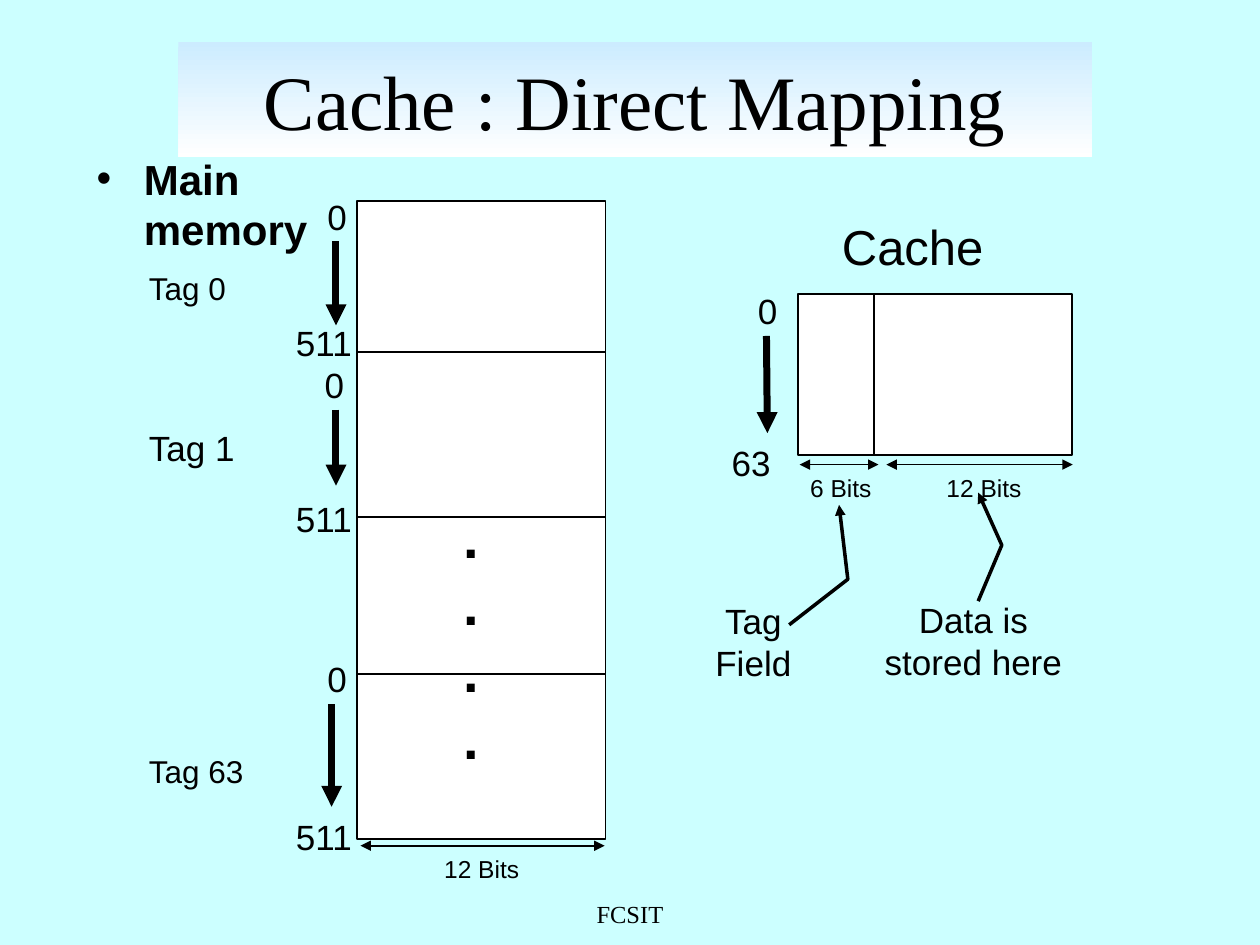
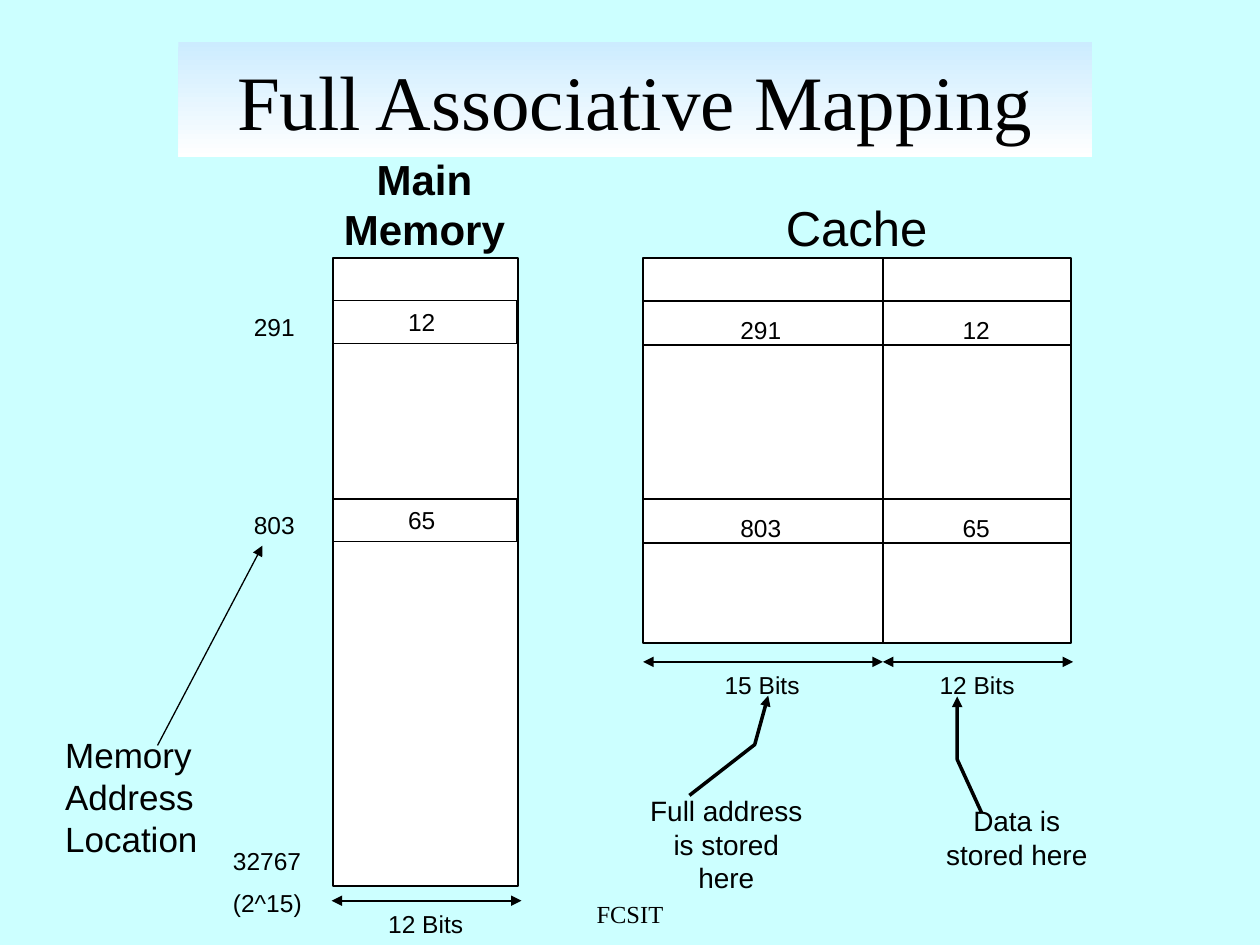
from dataclasses import dataclass
from typing import Any

import pptx
import pptx.dml.color
import pptx.enum.shapes
import pptx.enum.text
import pptx.oxml.ns
import pptx.util
from lxml import etree

Pt = pptx.util.Pt
qn = pptx.oxml.ns.qn
ALIGN = pptx.enum.text.PP_ALIGN
ANCHOR = pptx.enum.text.MSO_ANCHOR
AUTO_SIZE = pptx.enum.text.MSO_AUTO_SIZE

COLORS = {
    "background": "CCFFFF",
    "band_top": "CCECFF",
    "band_bottom": "FFFFFF",
    "memory": "FFFFFF",
    "ink": "000000",
}
SANS = "Arial"
SERIF = "Times New Roman"


def color(name):
    return pptx.dml.color.RGBColor.from_string(COLORS[name])


def write(paragraph, text, size, font=SANS, bold=False, align=ALIGN.LEFT):
    paragraph.alignment = align
    run = paragraph.add_run()
    run.text = text
    run.font.size = Pt(size)
    run.font.name = font
    run.font.bold = bold
    run.font.color.rgb = color("ink")


def paragraphs(frame, lines):
    for index, text in enumerate(lines):
        yield (frame.add_paragraph() if index else frame.paragraphs[0]), text


def outline(part, width, *ends):
    part.line.color.rgb = color("ink")
    part.line.width = Pt(width)
    ln = part.element.spPr.find(qn("a:ln"))
    for end in ends:
        etree.SubElement(ln, qn(f"a:{end}"), type="triangle")


def move(shape, left, top, width, height):
    shape.left, shape.top = Pt(left), Pt(top)
    shape.width, shape.height = Pt(width), Pt(height)


@dataclass
class Region:
    slide: Any
    left: float
    top: float
    width: float
    height: float

    def point(self, x, y):
        return Pt(self.left + x), Pt(self.top + y)

    def cell(self, x, y, width, height, text=""):
        rectangle = self.slide.shapes.add_shape(
            pptx.enum.shapes.MSO_SHAPE.RECTANGLE,
            *self.point(x, y), Pt(width), Pt(height))
        rectangle.shadow.inherit = False
        rectangle.fill.solid()
        rectangle.fill.fore_color.rgb = color("memory")
        outline(rectangle, 1)
        if text:
            rectangle.text_frame.word_wrap = False
            rectangle.text_frame.vertical_anchor = ANCHOR.MIDDLE
            write(rectangle.text_frame.paragraphs[0], text, 14, align=ALIGN.CENTER)

    def frame(self):
        self.cell(0, 0, self.width, self.height)

    def label(self, text, x, y, width, height, size=14, wrap=False, **style):
        box = self.slide.shapes.add_textbox(*self.point(x, y), Pt(width), Pt(height))
        box.text_frame.word_wrap = wrap
        box.text_frame.auto_size = AUTO_SIZE.SHAPE_TO_FIT_TEXT
        for paragraph, line in paragraphs(box.text_frame, text.split("\n")):
            write(paragraph, line, size, **style)

    def line(self, start, finish, width=1, ends=()):
        connector = self.slide.shapes.add_connector(
            pptx.enum.shapes.MSO_CONNECTOR.STRAIGHT,
            *self.point(*start), *self.point(*finish))
        outline(connector, width, *ends)
        etree.SubElement(connector.element.spPr, qn("a:effectLst"))

    def count_arrow(self, start, finish):
        self.line(start, finish, 4, ["tailEnd"])

    def pointer(self, start, *bends):
        builder = self.slide.shapes.build_freeform(*self.point(*start))
        builder.add_line_segments([self.point(*bend) for bend in bends], close=False)
        bent = builder.convert_to_shape()
        bent.shadow.inherit = False
        bent.fill.background()
        outline(bent, 2, "tailEnd")

    def bits(self, text, start, finish, y, label_width=58, shift=0):
        self.line((start, y), (finish, y), ends=["headEnd", "tailEnd"])
        label_left = (start + finish - label_width) / 2 + shift
        self.label(text, label_left, y + 1.3, label_width, 24)


def add_footer(slide):
    footer = slide.shapes.add_textbox(Pt(246), Pt(510), Pt(228), Pt(18))
    footer.text_frame.word_wrap = True
    write(footer.text_frame.paragraphs[0], "FCSIT", 14, SERIF, align=ALIGN.CENTER)


def add_title(slide, text):
    title = slide.shapes.title
    move(title, 102, 24, 522, 66)
    title.fill.gradient()
    title.fill.gradient_angle = 270
    for stop, name, position in zip(
            title.fill.gradient_stops, ("band_top", "band_bottom"), (0, 1)):
        stop.color.rgb = color(name)
        stop.position = position
    title.text_frame.auto_size = AUTO_SIZE.NONE
    title.text_frame.vertical_anchor = ANCHOR.MIDDLE
    write(title.text_frame.paragraphs[0], text, 44, SERIF, align=ALIGN.CENTER)


def add_body(slide, box, lines, size, bullet=False, bold=False, spacing=1.0, before=0):
    body = slide.placeholders[1]
    move(body, *box)
    frame = body.text_frame
    frame.auto_size = AUTO_SIZE.NONE
    frame.vertical_anchor = ANCHOR.TOP
    for index, (paragraph, text) in enumerate(paragraphs(frame, lines)):
        properties = paragraph._p.get_or_add_pPr()
        properties.set("marL", str(Pt(27)))
        properties.set("indent", str(Pt(-27)))
        if bullet:
            etree.SubElement(properties, qn("a:buChar"), char="•")
        else:
            etree.SubElement(properties, qn("a:buNone"))
        paragraph.line_spacing = spacing
        paragraph.space_before = Pt(before if index else 0)
        write(paragraph, text, size, bold=bold)


def new_slide(presentation, title):
    slide = presentation.slides.add_slide(presentation.slide_layouts[1])
    add_footer(slide)
    add_title(slide, title)
    return slide


def add_tagged_memory(slide, box):
    memory = Region(slide, *box)
    memory.frame()
    for divider in (86, 180.3, 270):
        memory.line((0, divider), (memory.width, divider))
    blocks = [
        ("Tag 0", 18, 35, -24, -7, 65, -12, (23, 71)),
        ("Tag 1", 20, 125, -25.5, 89, 166, -12, (119, 162.5)),
        ("Tag 63", 18, 311, -24, 257, 347.5, -14.5, (287.5, 346)),
    ]
    for tag, size, tag_top, first_x, first_top, last_top, arrow_x, span in blocks:
        memory.label("0", first_x, first_top, 25.5, 31, 20)
        memory.label("511", -42, last_top, 48, 31, 20)
        memory.count_arrow(*((arrow_x, y) for y in span))
        memory.label(tag, -126, tag_top, 80, 30, size, wrap=True)
    memory.label(".\n.\n.\n.", 54, 168.5, 23.5, 160.5, 32, bold=True)
    memory.bits("12 Bits", 2, 141.5, 368.3)


def add_direct_cache(slide, box):
    cache = Region(slide, *box)
    tag_width = 43.5
    cache.label("Cache", 18, -48, 95, 40, 28)
    cache.frame()
    cache.label("0", -30, -6, 25.5, 31, 20)
    cache.label("63", -45, 80.5, 37, 31, 20)
    cache.count_arrow((-18, 24), (-17.5, 79.5))
    cache.line((tag_width, 0), (tag_width, cache.height))
    cache.label("Tag\nField", -55, 171, 59, 54.5, 20, align=ALIGN.CENTER)
    cache.pointer((-5, 189), (28.5, 163), (23.5, 120.5))
    cache.bits("6 Bits", 1, 46, 97.5, label_width=51, shift=1.8)
    cache.bits("12 Bits", 50.5, 157, 97.5, shift=3)
    cache.label("Data is stored here", 39, 170.5, 122.5, 54.5, 20,
                wrap=True, align=ALIGN.CENTER)
    cache.pointer((103, 175.5), (116.5, 143.5), (103, 113.5))


ROW_TOPS = (24.3, 137.5)
ADDRESSES = ("291", "803")
VALUES = ("12", "65")


def add_associative_cache(slide, box):
    cache = Region(slide, *box)
    address_width = 137
    cache.frame()
    for row_top in ROW_TOPS:
        cache.cell(0, row_top, cache.width, 25.3)
    cache.line((address_width, 0.5), (address_width, cache.height - 0.5))
    for row_top, address, value in zip(ROW_TOPS, ADDRESSES, VALUES):
        cache.label(address, 48.5, row_top + 4.5, 39, 24)
        cache.label(value, 175.5, row_top + 4.5, 31, 24)
    cache.label("Cache", 74.5, -38, 95, 40, 28)
    cache.label("Full address is stored here", -7.5, 302.5, 110, 65, 16,
                wrap=True, align=ALIGN.CENTER)
    cache.label("Data is stored here", 160.5, 308.3, 106, 45.5, 16,
                wrap=True, align=ALIGN.CENTER)
    cache.pointer((26.5, 307), (63.8, 278), (71.5, 250))
    cache.pointer((193.5, 317), (179.5, 286.5), (179.5, 250.5))
    cache.bits("15 Bits", 0, address_width, 230.7)
    cache.bits("12 Bits", address_width, 245.7, 230.7)


def add_addressed_memory(slide, box):
    memory = Region(slide, *box)
    memory.label("Main\nMemory", -1.5, -63.5, 107, 65, 24,
                 bold=True, align=ALIGN.CENTER)
    memory.frame()
    for row_top, address, value in zip(ROW_TOPS, ADDRESSES, VALUES):
        memory.cell(0, row_top, memory.width - 0.5, 24.5, f"{value} ")
        memory.label(address, -52.5, row_top + 2.9, 39, 24)
    memory.bits("12 Bits", -1, 107.5, 367.2)
    memory.line((-100.5, 278.5), (-40.5, 164.3), 0.75, ["tailEnd"])
    memory.label("(2^15)", -64.5, 356.5, 60, 24, wrap=True)
    memory.label("32767", -64.5, 332.5, 54, 24, wrap=True)


def add_direct_mapping(presentation):
    slide = new_slide(presentation, "Cache : Direct Mapping")
    add_body(slide, (48, 84, 144, 72), ["Main memory"], 24, bullet=True, bold=True)
    add_tagged_memory(slide, (204, 115, 142, 364.3))
    add_direct_cache(slide, (456, 168, 156.5, 92))


def add_full_associative_mapping(presentation):
    slide = new_slide(presentation, "Full Associative Mapping")
    add_body(slide, (30, 420, 126, 78), ["Memory", "Address", "Location"], 20,
             spacing=0.8, before=5)
    add_associative_cache(slide, (367.5, 147.5, 244.5, 220))
    add_addressed_memory(slide, (190.5, 147.5, 105.5, 359))


def main():
    presentation = pptx.Presentation()
    presentation.slide_width, presentation.slide_height = Pt(720), Pt(540)
    background = presentation.slide_master.background.fill
    background.solid()
    background.fore_color.rgb = color("background")
    add_direct_mapping(presentation)
    add_full_associative_mapping(presentation)
    presentation.save("out.pptx")


if __name__ == "__main__":
    main()
